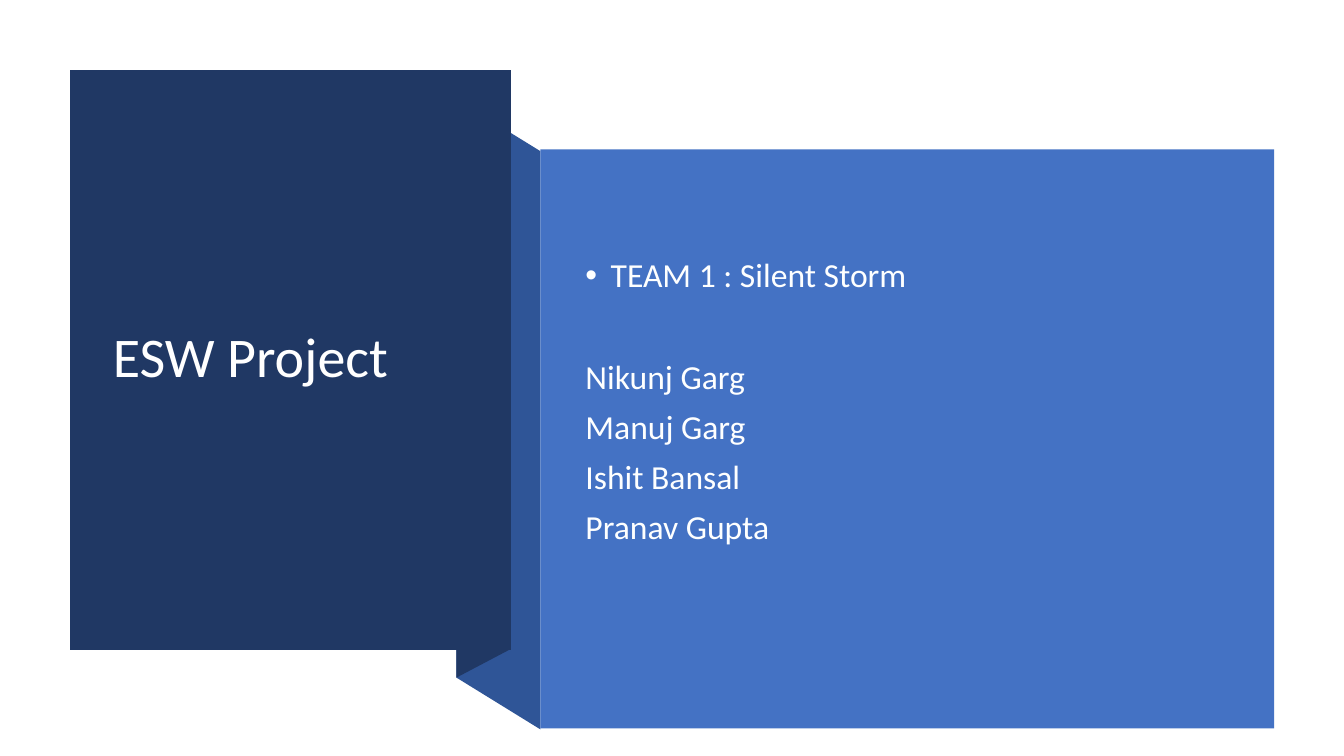
from pptx import Presentation
from pptx.dml.color import RGBColor
from pptx.enum.shapes import MSO_SHAPE
from pptx.enum.text import MSO_ANCHOR, PP_ALIGN
from pptx.util import Pt
from lxml.etree import SubElement
from pptx.oxml.ns import qn

HUES = {"navy": "203864", "fold": "2F5597", "blue": "4472C4",
        "white": "FFFFFF", "text": "FEFFFF"}


def paint(shape, hue):
    """Give a shape a flat fill with no line or shadow."""
    shape.shadow.inherit = False
    shape.fill.solid()
    shape.fill.fore_color.rgb = RGBColor.from_string(HUES[hue])
    shape.line.fill.background()


def style(para, size, hue):
    """Set the font, colour and spacing of a paragraph."""
    para.font.name = "Calibri"
    para.font.size = Pt(size)
    para.font.color.rgb = RGBColor.from_string(HUES[hue])
    para.alignment = PP_ALIGN.LEFT
    para.line_spacing = 0.9


deck = Presentation()
deck.slide_width, deck.slide_height = Pt(960), Pt(540)
slide = deck.slides.add_slide(deck.slide_layouts[5])
shapes = slide.shapes

# Ribbon folds and title panel, back to front
panels = [
    ("fold", [(385.9, 520.8), (326.2, 484), (326.2, 71.3), (385.9, 108)]),
    ("navy", [(364.5, 464), (326.2, 484.5), (326.2, 70.6), (364.5, 50)]),
    ("navy", [(50, 50.2), (364.8, 50.2), (364.8, 464.2), (50, 464.2)]),
]
for hue, points in panels:
    pen = shapes.build_freeform(*points[0], scale=Pt(1))
    pen.add_line_segments(points[1:], close=True)
    paint(pen.convert_to_shape(), hue)

panel = shapes.add_shape(MSO_SHAPE.RECTANGLE, Pt(385.9), Pt(106.6),
                         Pt(524.2), Pt(413.6))
paint(panel, "blue")

# Title, raised above the panels
title = shapes.title
shapes._spTree.append(title._element)
title.left, title.top = Pt(73.4), Pt(77)
title.width, title.height = Pt(267), Pt(359.3)
title.text_frame.text = "ESW Project"
title.text_frame.vertical_anchor = MSO_ANCHOR.MIDDLE
style(title.text_frame.paragraphs[0], 40, "white")

# Team and members
team = "TEAM 1 : Silent Storm"
names = ["Nikunj Garg", "Manuj Garg", "Ishit Bansal", "Pranav Gupta"]
box = shapes.add_textbox(Pt(411.1), Pt(135.4), Pt(468.7), Pt(305))
frame = box.text_frame
frame.word_wrap = True
frame.vertical_anchor = MSO_ANCHOR.MIDDLE
frame.text = "\n".join([team] + names)
for para in frame.paragraphs:
    style(para, 24, "text")
    para.space_before = Pt(10)
head, first = frame.paragraphs[:2]
first.space_before = Pt(46.4)

props = head._p.get_or_add_pPr()
props.set("marL", str(Pt(18)))
props.set("indent", str(-Pt(18)))
bullet = [("buFont", "typeface", "Arial"), ("buChar", "char", "•")]
for spot, (tag, key, value) in enumerate(bullet):
    node = SubElement(props, qn("a:" + tag))
    node.set(key, value)
    props.insert(len(props.findall(qn("a:lnSpc")) + props.findall(qn("a:spcBef"))) + spot, node)

deck.save("out.pptx")
